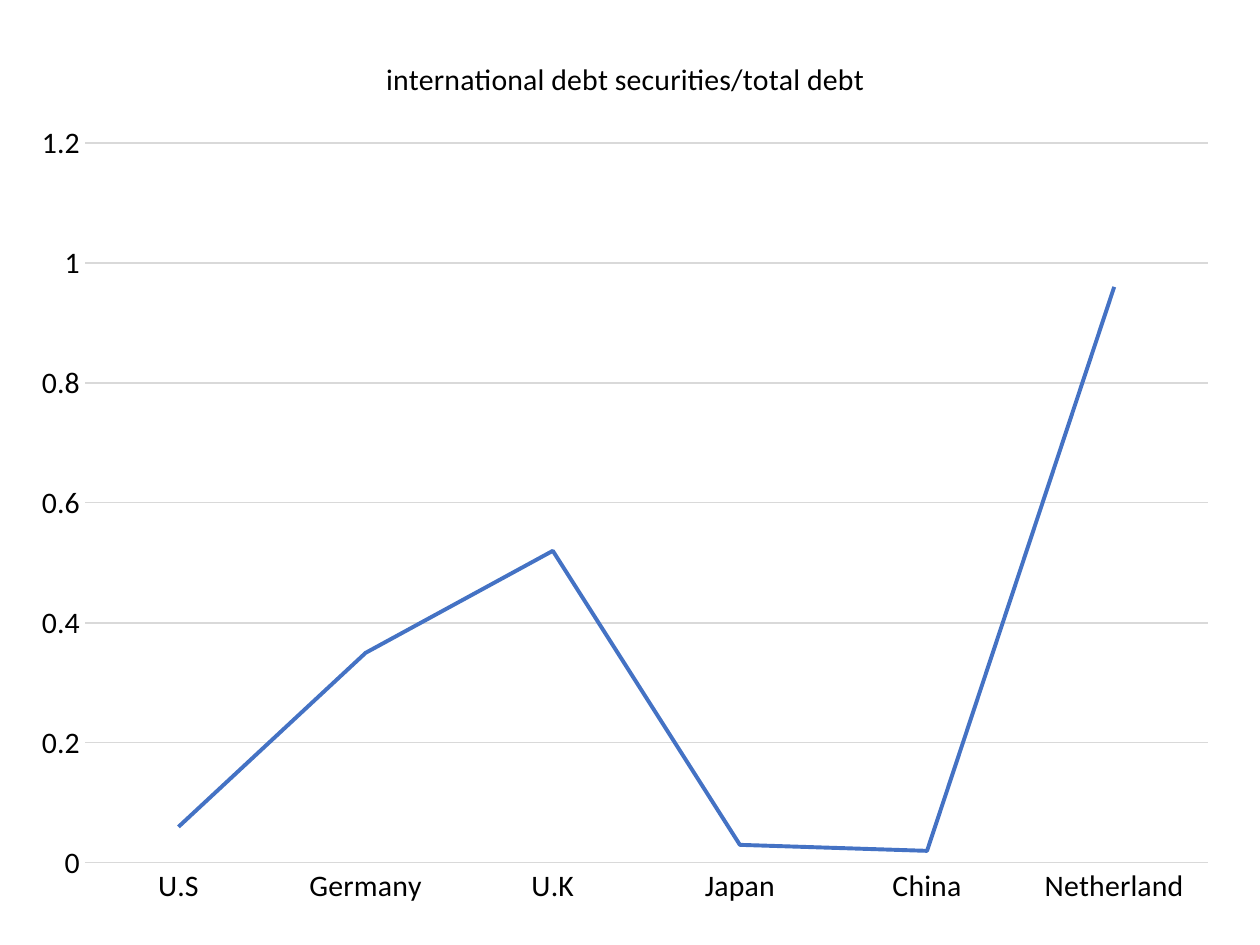
"""Build a slide with a line chart of international debt securities by country."""
from pptx import Presentation
from pptx.chart.data import CategoryChartData
from pptx.dml.color import RGBColor
from pptx.enum.chart import XL_CHART_TYPE as ChartType, XL_TICK_MARK as TickMark
from pptx.oxml import parse_xml
from pptx.oxml.ns import nsdecls
from pptx.util import Pt

TITLE = "international debt securities/total debt"
DEBT_RATIOS = {
    "U.S": 0.06,
    "Germany": 0.35,
    "U.K": 0.52,
    "Japan": 0.03,
    "China": 0.02,
    "Netherland": 0.96,
}
SLIDE_SIZE = (1260, 945)
CHART_BOX = (18, 28, 1215, 895)
PLOT_BOX = (85, 143, 1123, 720)
EMU_PER_PIXEL = 914400 // 126
FONT, TEXT_SIZE = "Calibri", 17
TEXT, GRID, SERIES = "000000", "D9D9D9", "4472C4"


def emu(pixels):
    return pixels * EMU_PER_PIXEL


def color(value):
    return RGBColor.from_string(value)


def style_font(font):
    font.name, font.size, font.bold = FONT, Pt(TEXT_SIZE), False
    font.color.rgb = color(TEXT)


def style_line(line, value, width):
    line.color.rgb = color(value)
    line.width = Pt(width)


def place_plot(chart):
    left, top, width, height = CHART_BOX
    plot_left, plot_top, plot_width, plot_height = PLOT_BOX
    fractions = {
        "x": (plot_left - left) / width,
        "y": (plot_top - top) / height,
        "w": plot_width / width,
        "h": plot_height / height,
    }
    modes = "".join(f'<c:{key}Mode val="edge"/>' for key in "xy")
    values = "".join(f'<c:{key} val="{value:.4f}"/>' for key, value in fractions.items())
    layout = parse_xml(
        f'<c:layout {nsdecls("c")}><c:manualLayout><c:layoutTarget val="inner"/>'
        f"{modes}{values}</c:manualLayout></c:layout>"
    )
    plot_area = chart._chartSpace.chart.plotArea
    for old_layout in plot_area.findall(layout.tag):
        plot_area.remove(old_layout)
    plot_area.insert(0, layout)


presentation = Presentation()
presentation.slide_width, presentation.slide_height = map(emu, SLIDE_SIZE)
slide = presentation.slides.add_slide(presentation.slide_layouts[6])

chart_data = CategoryChartData()
chart_data.categories = list(DEBT_RATIOS)
chart_data.add_series(TITLE, list(DEBT_RATIOS.values()))
chart = slide.shapes.add_chart(ChartType.LINE, *map(emu, CHART_BOX), chart_data).chart
style_font(chart.font)
chart.has_legend = False
chart.has_title = True
title_paragraph = chart.chart_title.text_frame.paragraphs[0]
title_paragraph.text = TITLE
style_font(title_paragraph.runs[0].font)
chart.chart_title.include_in_layout = False

for axis in (chart.category_axis, chart.value_axis):
    axis.major_tick_mark = axis.minor_tick_mark = TickMark.NONE
    style_font(axis.tick_labels.font)
style_line(chart.category_axis.format.line, GRID, 0.75)

value_axis = chart.value_axis
value_axis.minimum_scale, value_axis.maximum_scale, value_axis.major_unit = 0, 1.2, 0.2
value_axis.format.line.fill.background()
value_axis.has_major_gridlines = True
style_line(value_axis.major_gridlines.format.line, GRID, 0.75)

plot = chart.plots[0]
plot.vary_by_categories = False
debt_series = plot.series[0]
debt_series.smooth = False
style_line(debt_series.format.line, SERIES, 2.25)
place_plot(chart)

presentation.save("out.pptx")
